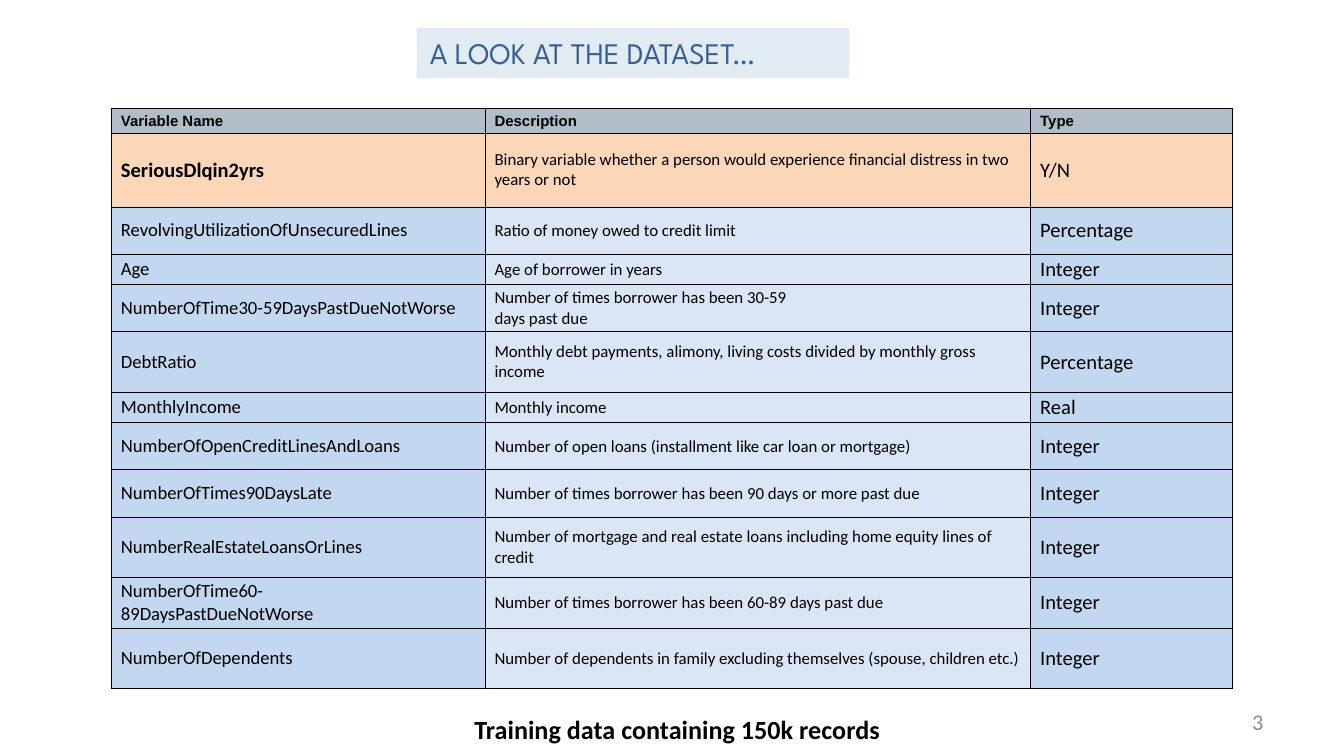
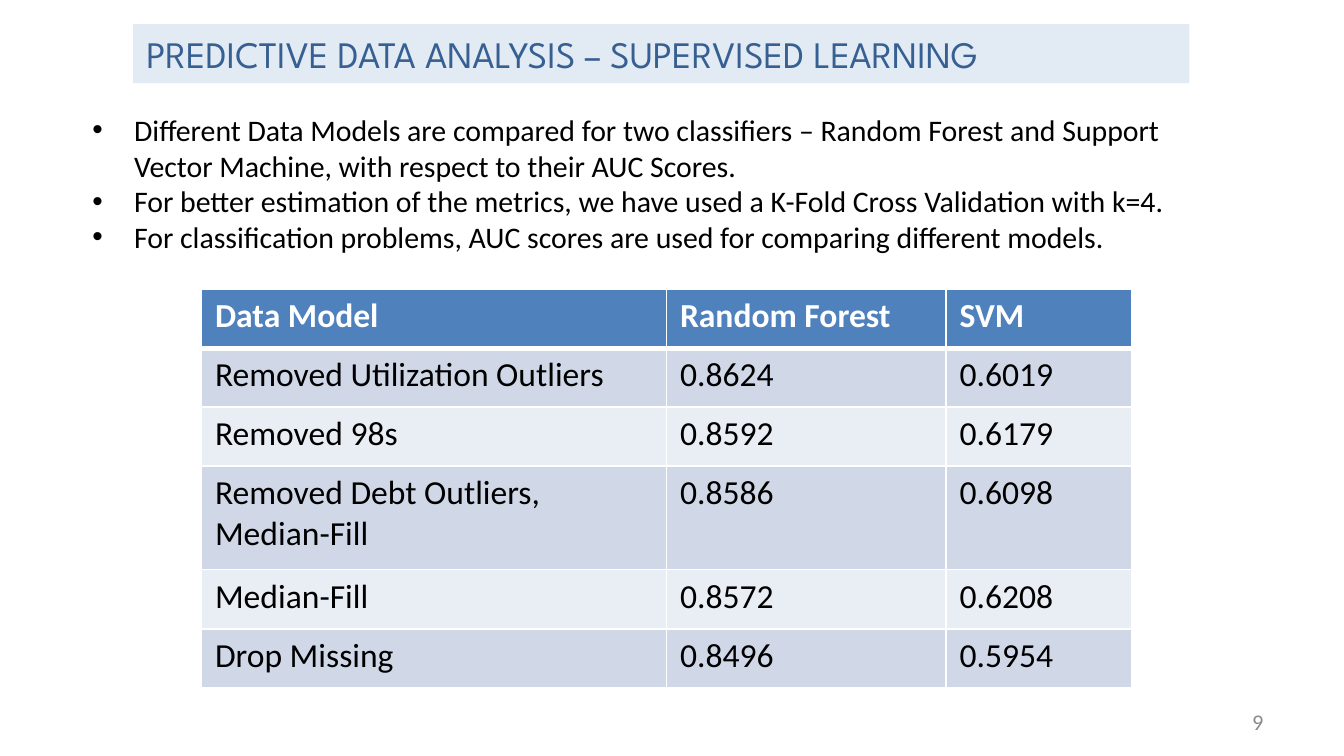
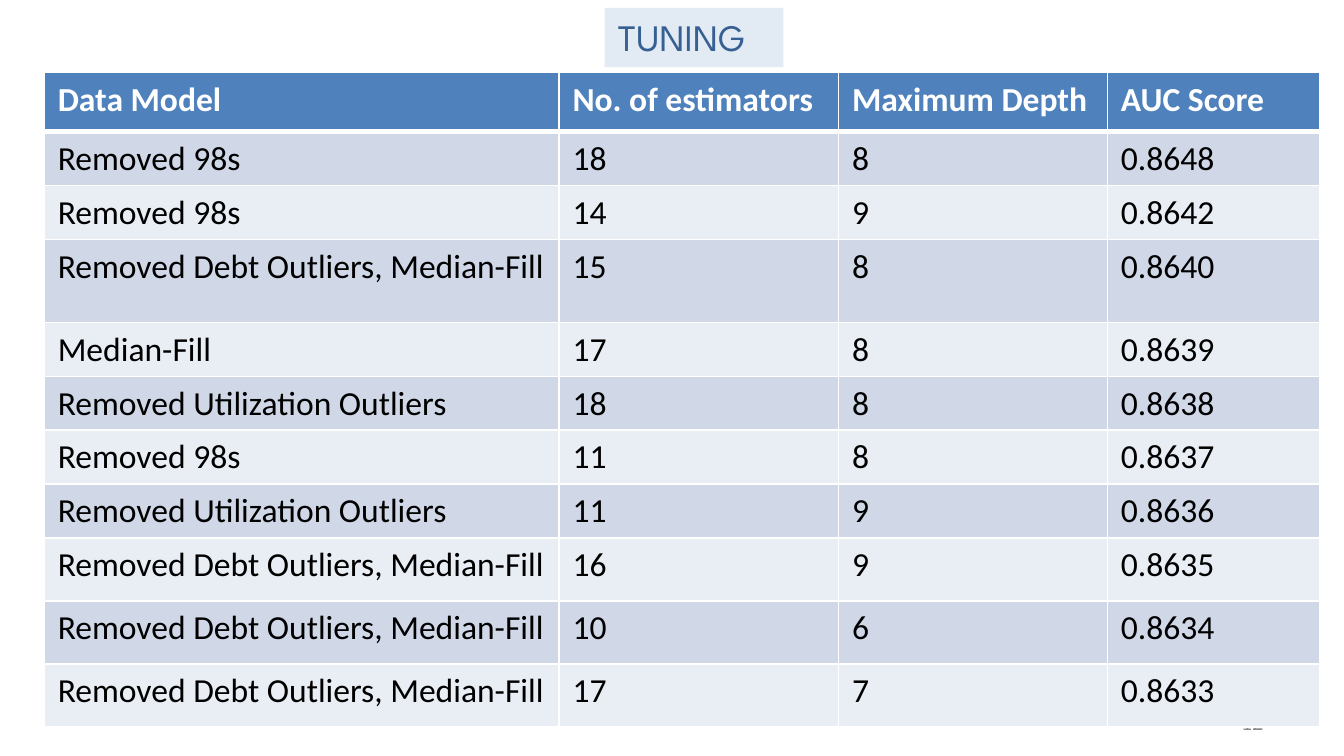
from dataclasses import dataclass

from pptx import Presentation
from pptx.dml.color import RGBColor
from pptx.enum.shapes import MSO_SHAPE as Shape
from pptx.enum.text import MSO_ANCHOR as Anchor, PP_ALIGN as Align
from pptx.oxml.ns import qn
from pptx.util import Inches, Pt
from lxml.etree import SubElement


@dataclass(frozen=True)
class Theme:
    # Colours
    ink: str = "000000"
    paper: str = "FFFFFF"
    title_text: str = "376092"
    title_band: tuple = ("95B3D7", 27)
    page_number: str = "8C8C8C"
    header: tuple = ("4F81BD", 100)
    bands: tuple = (("D0D8E8", 100), ("E9EDF4", 100))
    field_header: tuple = ("17375E", 33)
    target: tuple = ("FAC090", 64)
    field: tuple = ("8EB4E3", 53)
    field_note: tuple = ("8EB4E3", 32)
    # Fonts
    title_font: str = "League Spartan"
    body_font: str = "Calibri"
    label_font: str = "Arial"
    # Type sizes
    title_size: int = 20
    small_title_size: int = 16
    body_size: int = 16
    score_size: int = 18
    caption_size: int = 14
    number_size: int = 12
    label_size: int = 8
    name_size: int = 10
    note_size: int = 9
    type_size: int = 11


THEME = Theme()


class Deck:
    """Holds the style and the current slide."""

    def __init__(self, theme):
        self.theme = theme
        self.deck = Presentation()
        # Widescreen, 16:9
        self.deck.slide_width = Inches(10)
        self.deck.slide_height = Inches(10 * 9 / 16)
        self.page = None

    def new_page(self):
        self.page = self.deck.slides.add_slide(self.deck.slide_layouts[6])

    def style(self, frame, size, color=None, font=None, bold=False, align=Align.LEFT):
        for para in frame.paragraphs:
            para.alignment = align
            for span in para.runs:
                span.font.size = Pt(size)
                span.font.name = font or self.theme.body_font
                span.font.bold = bold
                span.font.color.rgb = RGBColor.from_string(color or self.theme.ink)

    def paint(self, fill, properties, color, opacity):
        fill.solid()
        fill.fore_color.rgb = RGBColor.from_string(color)
        if opacity < 100:
            tint = properties.find(qn("a:solidFill"))[0]
            SubElement(tint, qn("a:alpha"), val=str(opacity * 1000))

    def title(self, text, left, top, width, height=0.44, size=None):
        band = self.page.shapes.add_shape(
            Shape.RECTANGLE, Inches(left), Inches(top), Inches(width), Inches(height))
        band.shadow.inherit = False
        band.line.fill.background()
        self.paint(band.fill, band.element.spPr, *self.theme.title_band)
        frame = band.text_frame
        frame.text, frame.word_wrap = text, True
        frame.vertical_anchor = Anchor.TOP
        self.style(frame, size or self.theme.title_size,
                   self.theme.title_text, self.theme.title_font)

    def text(self, text, left, top, width, height, size, anchor=Anchor.TOP, **look):
        box = self.page.shapes.add_textbox(
            Inches(left), Inches(top), Inches(width), Inches(height))
        frame = box.text_frame
        frame.text, frame.word_wrap = text, True
        frame.vertical_anchor = anchor
        self.style(frame, size, **look)
        return frame

    def page_number(self, number):
        self.text(str(number), 7.17, 5.22, 2.33, 0.3, self.theme.number_size,
                  Anchor.MIDDLE, color=self.theme.page_number, align=Align.RIGHT)

    def bullets(self, items, left, top, width, height):
        frame = self.text("\n".join(items), left, top, width, height, self.theme.body_size)
        indent = Inches(0.31)
        for para in frame.paragraphs:
            properties = para._p.get_or_add_pPr()
            properties.set("marL", str(indent))
            properties.set("indent", str(-indent))
            SubElement(properties, qn("a:buFont"), typeface="Arial")
            SubElement(properties, qn("a:buChar"), char="•")

    def cell_borders(self, cell, color, **widths):
        properties = cell._tc.get_or_add_tcPr()
        for side in "LRTB":
            line = SubElement(properties, qn(f"a:ln{side}"), w=str(Pt(widths[side])))
            fill = SubElement(line, qn("a:solidFill"))
            SubElement(fill, qn("a:srgbClr"), val=color)

    def table(self, rows, left, top, height, widths, heights, look, border,
              line, header_line, margins=None):
        """Draw a table; look(row, column) gives the fill and the text style."""
        holder = self.page.shapes.add_table(
            len(rows), len(widths), Inches(left), Inches(top),
            Inches(sum(widths)), Inches(height))
        table = holder.table
        table.horz_banding = False
        for column, width in zip(table.columns, widths):
            column.width = Inches(width)
        for row, row_height in zip(table.rows, heights):
            row.height = Inches(row_height)
        holder.height = Inches(height)
        for r, values in enumerate(rows):
            for c, value in enumerate(values):
                cell = table.cell(r, c)
                cell.text = value
                fill, text_style = look(r, c)
                self.style(cell.text_frame, **text_style)
                if margins:
                    cell.margin_left = cell.margin_right = Inches(margins[0])
                    cell.margin_top = cell.margin_bottom = Inches(margins[1])
                    cell.vertical_anchor = Anchor.MIDDLE
                self.cell_borders(cell, border, L=line, R=line,
                                  T=header_line if r == 1 else line,
                                  B=header_line if r == 0 else line)
                self.paint(cell.fill, cell._tc.tcPr, *fill)

    def score_table(self, rows, left, top, height, widths, heights):
        theme = self.theme

        def look(r, c):
            if r == 0:
                return theme.header, dict(size=theme.score_size, color=theme.paper, bold=True)
            return theme.bands[(r - 1) % 2], dict(size=theme.score_size)

        self.table(rows, left, top, height, widths, heights, look, theme.paper, 1, 3)

    def field_table(self, rows, left, top, height, widths, heights):
        theme = self.theme

        def look(r, c):
            if r == 0:
                return theme.field_header, dict(
                    size=theme.label_size, font=theme.label_font, bold=True)
            size = (theme.name_size, theme.note_size, theme.type_size)[c]
            if r == 1:
                target_name = c == 0
                return theme.target, dict(
                    size=theme.type_size if target_name else size, bold=target_name)
            return theme.field_note if c == 1 else theme.field, dict(size=size)

        self.table(rows, left, top, height, widths, heights, look,
                   theme.ink, 0.5, 0.5, margins=(0.07, 0.02))


FIELDS = [
    ("Variable Name", "Description", "Type"),
    ("SeriousDlqin2yrs",
     "Binary variable whether a person would experience financial distress in two years or not",
     "Y/N"),
    ("RevolvingUtilizationOfUnsecuredLines", "Ratio of money owed to credit limit", "Percentage"),
    ("Age", "Age of borrower in years", "Integer"),
    ("NumberOfTime30-59DaysPastDueNotWorse",
     "Number of times borrower has been 30-59\vdays past due", "Integer"),
    ("DebtRatio",
     "Monthly debt payments, alimony, living costs divided by monthly gross income",
     "Percentage"),
    ("MonthlyIncome", "Monthly income", "Real"),
    ("NumberOfOpenCreditLinesAndLoans",
     "Number of open loans (installment like car loan or mortgage)", "Integer"),
    ("NumberOfTimes90DaysLate",
     "Number of times borrower has been 90 days or more past due", "Integer"),
    ("NumberRealEstateLoansOrLines",
     "Number of mortgage and real estate loans including home equity lines of credit",
     "Integer"),
    ("NumberOfTime60-\v89DaysPastDueNotWorse",
     "Number of times borrower has been 60-89 days past due", "Integer"),
    ("NumberOfDependents",
     "Number of dependents in family excluding themselves (spouse, children etc.)", "Integer"),
]

# Data models that recur in both score tables
UTILIZATION = "Removed Utilization Outliers"
NO_98S = "Removed 98s"
DEBT = "Removed Debt Outliers, Median-Fill"
MEDIAN = "Median-Fill"

CLASSIFIER_SCORES = [
    ("Data Model", "Random Forest", "SVM"),
    (UTILIZATION, "0.8624", "0.6019"),
    (NO_98S, "0.8592", "0.6179"),
    (DEBT, "0.8586", "0.6098"),
    (MEDIAN, "0.8572", "0.6208"),
    ("Drop Missing", "0.8496", "0.5954"),
]

TUNING_SCORES = [
    ("Data Model", "No. of estimators", "Maximum Depth", "AUC Score"),
    (NO_98S, "18", "8", "0.8648"),
    (NO_98S, "14", "9", "0.8642"),
    (DEBT, "15", "8", "0.8640"),
    (MEDIAN, "17", "8", "0.8639"),
    (UTILIZATION, "18", "8", "0.8638"),
    (NO_98S, "11", "8", "0.8637"),
    (UTILIZATION, "11", "9", "0.8636"),
    (DEBT, "16", "9", "0.8635"),
    (DEBT, "10", "6", "0.8634"),
    (DEBT, "17", "7", "0.8633"),
]


def main():
    deck = Deck(THEME)

    # Dataset fields
    deck.new_page()
    deck.title("A LOOK AT THE DATASET…", 3.1, 0.21, 3.22, 0.37, THEME.small_title_size)
    deck.field_table(FIELDS, 0.83, 0.81, 4.32, (2.78, 4.06, 1.5),
                     (0.18, 0.55, 0.35, 0.22, 0.35, 0.45, 0.22, 0.35, 0.35, 0.45, 0.35, 0.45))
    deck.text("Training data containing 150k records", 0.75, 5.26, 8.58, 0.34,
              THEME.caption_size, bold=True, align=Align.CENTER)
    deck.page_number(3)

    # Classifier comparison
    deck.new_page()
    deck.title("PREDICTIVE DATA ANALYSIS – SUPERVISED LEARNING", 0.99, 0.18, 7.86)
    deck.page_number(9)
    deck.bullets([
        "Different Data Models are compared for two classifiers – Random Forest and "
        "Support Vector Machine, with respect to their AUC Scores.",
        "For better estimation of the metrics, we have used a K-Fold Cross Validation with k=4.",
        "For classification problems, AUC scores are used for comparing different models.",
    ], 0.59, 0.78, 8.67, 1.18)
    deck.score_table(CLASSIFIER_SCORES, 1.5, 2.15, 2.98, (3.46, 2.08, 1.38),
                     (0.44, 0.44, 0.44, 0.77, 0.44, 0.44))

    # Tuning results
    deck.new_page()
    deck.title("TUNING", 4.5, 0.06, 1.33)
    deck.page_number(12)
    deck.score_table(TUNING_SCORES, 0.33, 0.54, 4.87, (3.83, 2.08, 2, 1.58),
                     (0.44, 0.33, 0.35, 0.62, 0.33, 0.35, 0.37, 0.38, 0.47, 0.47, 0.47))

    deck.deck.save("out.pptx")


if __name__ == "__main__":
    main()
